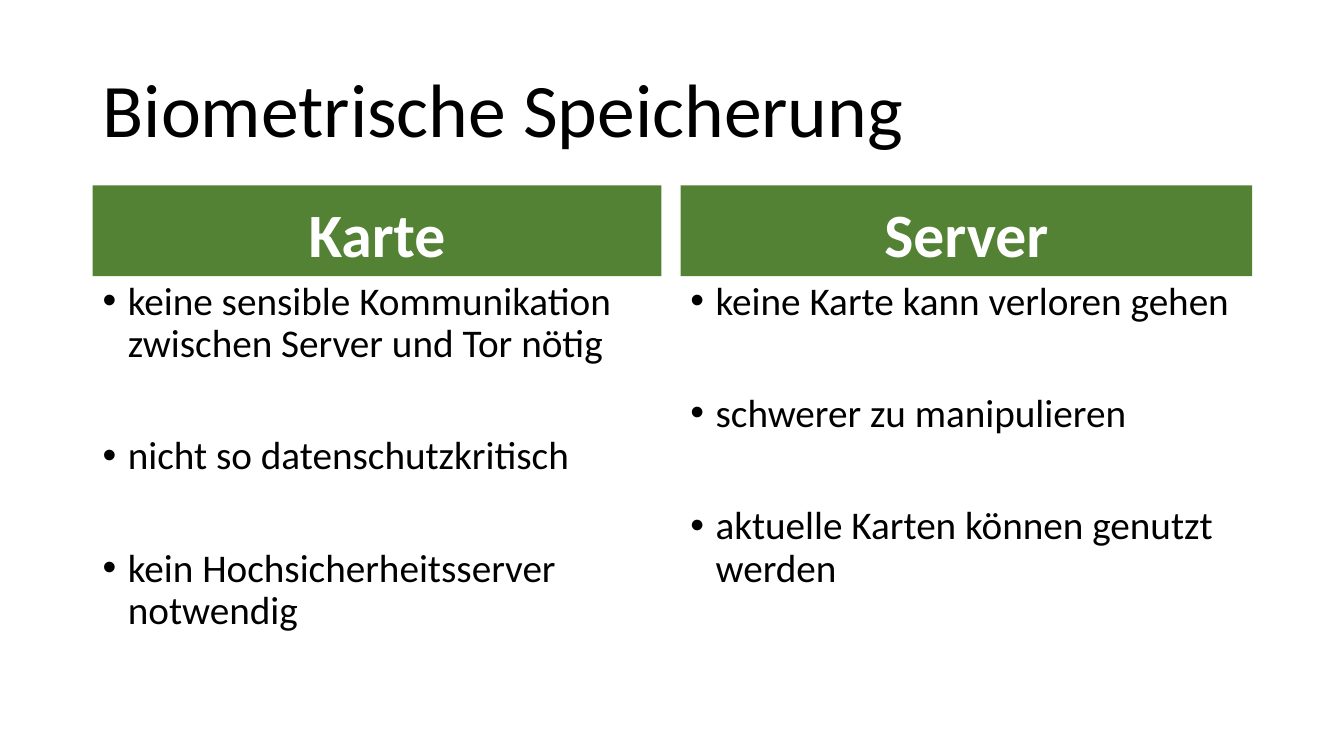
"""Build a slide comparing biometric storage on a card and on a server."""
from dataclasses import dataclass

from lxml.etree import SubElement
from pptx import Presentation
from pptx.dml.color import RGBColor
from pptx.enum.shapes import MSO_SHAPE
from pptx.enum.text import MSO_ANCHOR as Anchor, PP_ALIGN as Align
from pptx.oxml.ns import qn
from pptx.shapes.autoshape import Shape
from pptx.slide import Slide
from pptx.util import Inches, Pt

BLACK = RGBColor(0x00, 0x00, 0x00)
WHITE = RGBColor(0xFF, 0xFF, 0xFF)
GREEN = RGBColor(0x54, 0x82, 0x35)
FONT = "Calibri"
LEFT = 0.92
HEADER_TOP, HEADER_HEIGHT = 1.84, 0.9
LIST_TOP, LIST_HEIGHT = HEADER_TOP + HEADER_HEIGHT, 4.03
BULLET_INDENT = Inches(0.25)


@dataclass(frozen=True)
class Column:
    left: float
    width: float
    heading: str
    points: tuple[str, ...]


COLUMNS = (
    Column(LEFT, 5.64, "Karte", (
        "keine sensible Kommunikation zwischen Server und Tor nötig",
        "nicht so datenschutzkritisch",
        "kein Hochsicherheitsserver notwendig",
    )),
    Column(6.75, 5.67, "Server", (
        "keine Karte kann verloren gehen",
        "schwerer zu manipulieren",
        "aktuelle Karten können genutzt werden",
    )),
)


def write_text(shape: Shape, *lines: str, size: float, color: RGBColor = BLACK,
               bold: bool = False, align: Align = Align.LEFT,
               anchor: Anchor = Anchor.TOP, before: float = 0,
               gap: float = 0, bullet: bool = False) -> None:
    frame = shape.text_frame
    frame.word_wrap = True
    frame.vertical_anchor = anchor
    for index, line in enumerate(lines):
        paragraph = frame.add_paragraph() if index else frame.paragraphs[0]
        paragraph.alignment = align
        paragraph.line_spacing = 0.9
        paragraph.space_before = Pt(gap if index else before)
        run = paragraph.add_run()
        run.text = line
        run.font.name = FONT
        run.font.size = Pt(size)
        run.font.bold = bold
        run.font.color.rgb = color
        if bullet:
            properties = paragraph._p.get_or_add_pPr()
            properties.set("marL", str(BULLET_INDENT))
            properties.set("indent", str(-BULLET_INDENT))
            SubElement(properties, qn("a:buFont"), typeface="Arial")
            SubElement(properties, qn("a:buChar"), char="•")


def add_text_box(slide: Slide, left: float, top: float,
                 width: float, height: float) -> Shape:
    return slide.shapes.add_textbox(
        Inches(left), Inches(top), Inches(width), Inches(height))


def add_column(slide: Slide, column: Column) -> None:
    header = slide.shapes.add_shape(
        MSO_SHAPE.RECTANGLE, Inches(column.left), Inches(HEADER_TOP),
        Inches(column.width), Inches(HEADER_HEIGHT))
    header.shadow.inherit = False
    header.fill.solid()
    header.fill.fore_color.rgb = GREEN
    header.line.fill.background()
    write_text(header, column.heading, size=44, color=WHITE, bold=True,
               align=Align.CENTER, anchor=Anchor.BOTTOM, before=10)
    points = add_text_box(slide, column.left, LIST_TOP, column.width, LIST_HEIGHT)
    write_text(points, *column.points, size=28, before=10, gap=50, bullet=True)


def main() -> None:
    presentation = Presentation()
    presentation.slide_width = Inches(13.33)
    presentation.slide_height = Inches(7.5)
    slide = presentation.slides.add_slide(presentation.slide_layouts[6])
    title = add_text_box(slide, LEFT, 0.4, 11.5, 1.45)
    write_text(title, "Biometrische Speicherung", size=54, anchor=Anchor.MIDDLE)
    for column in COLUMNS:
        add_column(slide, column)
    presentation.save("out.pptx")


if __name__ == "__main__":
    main()
